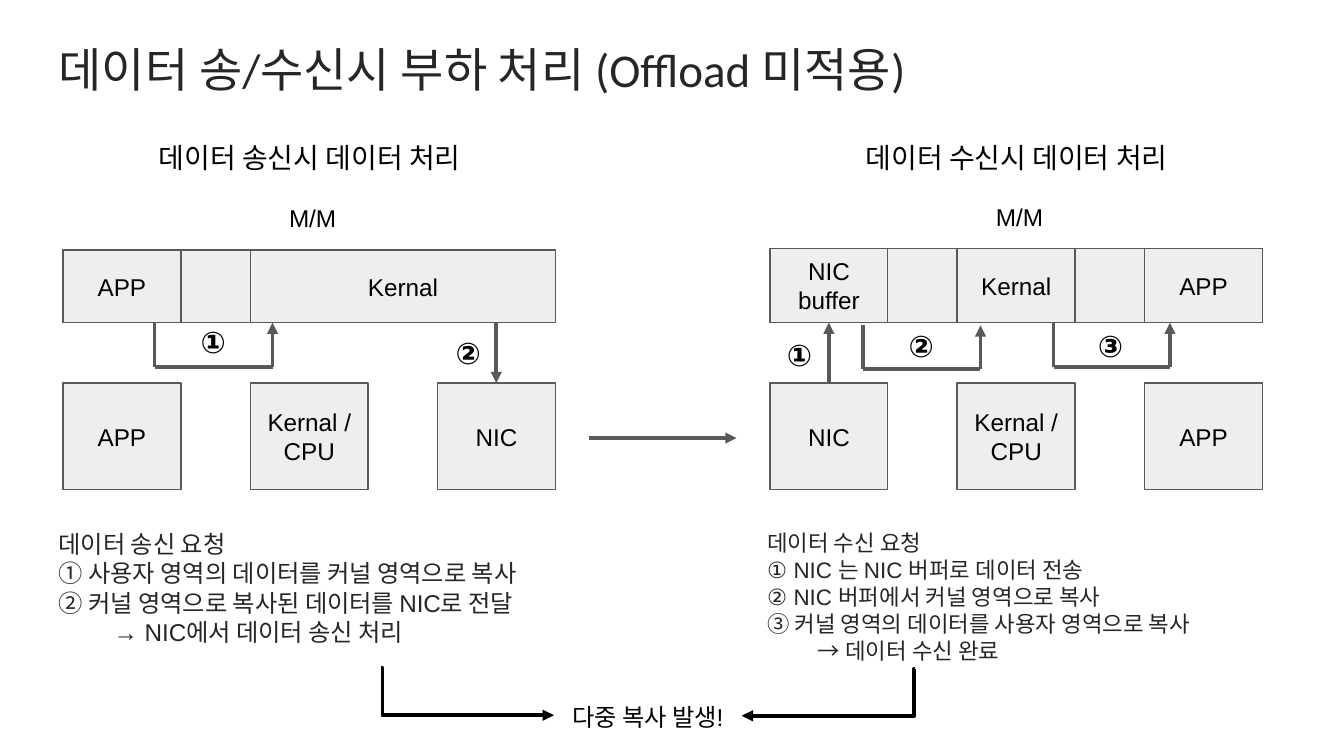
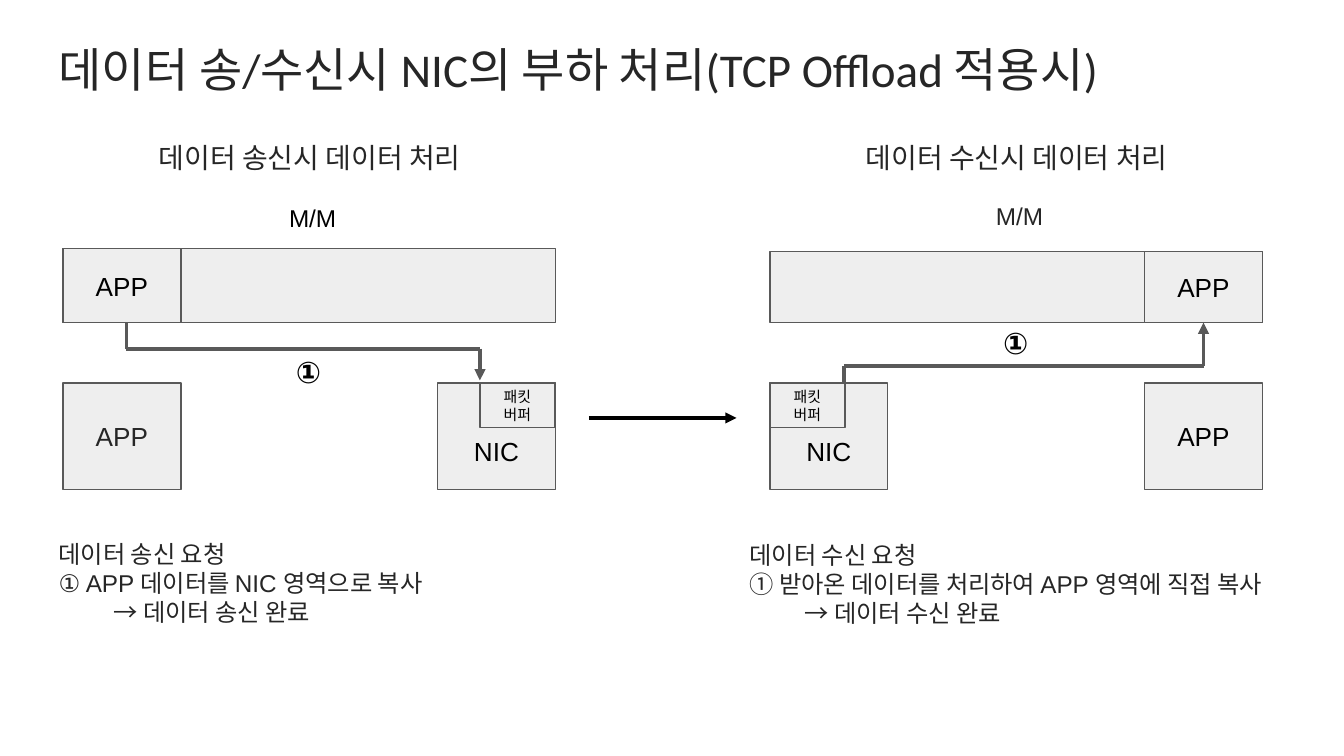
from lxml import etree
from pptx import Presentation
from pptx.dml.color import RGBColor
from pptx.enum.shapes import MSO_CONNECTOR, MSO_SHAPE
from pptx.enum.text import MSO_ANCHOR, MSO_AUTO_SIZE, PP_ALIGN
from pptx.oxml.ns import qn
from pptx.util import Cm, Pt

RECTANGLE = MSO_SHAPE.RECTANGLE
STRAIGHT = MSO_CONNECTOR.STRAIGHT
ELBOW = MSO_CONNECTOR.ELBOW
LEFT_ALIGN, CENTER = PP_ALIGN.LEFT, PP_ALIGN.CENTER
TOP, MIDDLE = MSO_ANCHOR.TOP, MSO_ANCHOR.MIDDLE
FIT_SHAPE = MSO_AUTO_SIZE.SHAPE_TO_FIT_TEXT

BLACK, INK, GRAY, PALE = "000000", "262626", "595959", "EEEEEE"
SEND, RECEIVE = 1.19, 14.55
STEP, BOX_WIDTH = 3.54, 2.23
BAR_WIDTH = 2 * STEP + BOX_WIDTH
BAR_BOTTOM, BOX_TOP, BOX_HEIGHT = 6.1, 7.24, 2.02
INSET = 0.25
TOP_SIDE, BOTTOM_SIDE = 0, 2


def color(value):
    return RGBColor.from_string(value)


class Deck:
    def __init__(self):
        self.presentation = Presentation()
        self.presentation.slide_width = Cm(25.4)
        self.presentation.slide_height = Cm(14.29)
        self.slide = None

    def add_slide(self, title):
        layout = self.presentation.slide_layouts[6]
        self.slide = self.presentation.slides.add_slide(layout)
        self.text(0.86, 0.51, 23.67, 1.6, [title], 25.2, "Calibri", INK, LEFT_ALIGN)

    def fill_text(self, shape, lines, size, font, ink, align, bold=False):
        frame = shape.text_frame
        frame.word_wrap = True
        frame.margin_left = frame.margin_right = Cm(INSET)
        frame.margin_top = frame.margin_bottom = Cm(INSET)
        for index, line in enumerate(lines):
            paragraph = frame.paragraphs[0] if index == 0 else frame.add_paragraph()
            paragraph.alignment = align
            run = paragraph.add_run()
            run.text = line
            run.font.size = Pt(size)
            run.font.name = font
            run.font.bold = bold
            run.font.color.rgb = color(ink)
        return frame

    def text(self, left, top, width, height, lines, size, font="Arial",
             ink=BLACK, align=CENTER, bold=False):
        shape = self.slide.shapes.add_textbox(Cm(left), Cm(top), Cm(width), Cm(height))
        frame = self.fill_text(shape, lines, size, font, ink, align, bold)
        frame.vertical_anchor = TOP
        return frame

    def label(self, left, top, width, height, *args, **style):
        self.text(left, top, width, height, *args, **style).auto_size = FIT_SHAPE

    def headings(self, panel, title, memory_top, title_ink, memory_ink):
        self.label(panel + 1.35, 2.41, 6.63, 1.14, [title], 15, font="Calibri", ink=title_ink)
        self.label(panel + 3.79, memory_top, 1.73, 1.07, [" M/M"], 13, ink=memory_ink)

    def marker(self, center, top, symbol):
        self.label(center - 0.55, top, 1.1, 1.19, [symbol], 16, bold=True)

    def steps(self, left, top, width, height, lines, size=13):
        frame = self.text(left, top, width, height, lines, size, ink=INK, align=LEFT_ALIGN)
        frame.margin_top = frame.margin_bottom = Cm(0.13)
        frame.auto_size = FIT_SHAPE
        result = frame.paragraphs[-1]._p.get_or_add_pPr()
        result.set("marL", str(Cm(size * 0.08)))
        result.set("indent", "0")

    def rectangle(self, left, top, width, height, lines=(), size=13, ink=BLACK, lowered=0):
        shape = self.slide.shapes.add_shape(
            RECTANGLE, Cm(left), Cm(top), Cm(width), Cm(height))
        shape.shadow.inherit = False
        shape.fill.solid()
        shape.fill.fore_color.rgb = color(PALE)
        shape.line.color.rgb = color(GRAY)
        shape.line.width = Pt(0.75)
        frame = self.fill_text(shape, lines, size, "Arial", ink, CENTER)
        frame.vertical_anchor = MIDDLE
        frame.margin_top = Cm(INSET + lowered)
        return shape

    def memory(self, panel, top, parts, size=13):
        height = BAR_BOTTOM - top
        self.rectangle(panel, top, BAR_WIDTH, height)
        return [self.rectangle(panel + column * STEP, top, width, height, lines, size)
                for column, width, lines in parts]

    def box(self, panel, column, lines, size=13, ink=BLACK, lowered=0):
        return self.rectangle(panel + column * STEP, BOX_TOP, BOX_WIDTH, BOX_HEIGHT,
                              lines, size, ink, lowered)

    def packet_buffer(self, left):
        self.rectangle(left, BOX_TOP, 1.42, 0.84, ["패킷 버퍼"], 8)

    def connector(self, start, end, ink=GRAY, arrow=True, kind=STRAIGHT):
        points = [Cm(value) for value in (*start, *end)]
        connector = self.slide.shapes.add_connector(kind, *points)
        connector.line.color.rgb = color(ink)
        connector.line.width = Pt(2)
        if arrow:
            line = connector.line._get_or_add_ln()
            etree.SubElement(line, qn("a:tailEnd"), type="triangle")
        etree.SubElement(connector._element.spPr, qn("a:effectLst"))
        return connector

    def elbow(self, start, end):
        connector = self.connector(start, end, BLACK, kind=ELBOW)
        geometry = connector._element.spPr.find(qn("a:prstGeom"))
        adjustments = geometry.find(qn("a:avLst"))
        if adjustments is None:
            adjustments = etree.SubElement(geometry, qn("a:avLst"))
        etree.SubElement(adjustments, qn("a:gd"), name="adj1", fmla="val 600")

    def route(self, start, turn, end):
        corners = [start, (start[0], turn), (end[0], turn), end]
        for index in range(2):
            self.connector(corners[index], corners[index + 1], arrow=False)
        return self.connector(corners[2], corners[3])


def build_without_offload(deck):
    deck.add_slide("데이터 송/수신시 부하 처리 (Offload 미적용)")
    deck.headings(SEND, "데이터 송신시 데이터 처리", 3.6, BLACK, BLACK)
    deck.headings(RECEIVE, "데이터 수신시 데이터 처리", 3.57, BLACK, BLACK)

    deck.memory(SEND, 4.73, [(0, BOX_WIDTH, ["APP"]), (1, STEP + BOX_WIDTH, ["Kernal"])])
    for column, lines in enumerate((["APP"], ["Kernal / CPU"], ["NIC"])):
        deck.box(SEND, column, lines)
    deck.route((2.92, BAR_BOTTOM), 6.94, (5.15, BAR_BOTTOM))
    deck.connector((9.38, BAR_BOTTOM), (9.38, BOX_TOP))
    deck.marker(4.03, 5.87, "①")
    deck.marker(8.85, 6.07, "②")

    buffers = (["NIC", "buffer"], ["Kernal"], ["APP"])
    parts = [(column, BOX_WIDTH, lines) for column, lines in enumerate(buffers)]
    nic_buffer = deck.memory(RECEIVE, 4.7, parts)[0]
    devices = (["NIC"], ["Kernal /", "CPU"], ["APP"])
    nic = [deck.box(RECEIVE, column, lines) for column, lines in enumerate(devices)][0]
    center = RECEIVE + BOX_WIDTH / 2
    upload = deck.connector((center, BOX_TOP), (center, BAR_BOTTOM))
    upload.begin_connect(nic, TOP_SIDE)
    upload.end_connect(nic_buffer, BOTTOM_SIDE)
    deck.route((16.31, 6.15), 6.97, (18.53, 6.15))
    deck.route((19.91, BAR_BOTTOM), 6.94, (22.11, BAR_BOTTOM))
    deck.marker(15.11, 6.12, "①")
    deck.marker(17.41, 5.94, "②")
    deck.marker(20.99, 5.94, "③")

    deck.connector((11.13, 8.28), (13.92, 8.28))
    deck.steps(0.86, 9.88, 12.7, 2.49, [
        "데이터 송신 요청",
        "① 사용자 영역의 데이터를 커널 영역으로 복사",
        "② 커널 영역으로 복사된 데이터를 NIC로 전달",
        "→ NIC에서 데이터 송신 처리",
    ])
    deck.steps(14.25, 9.88, 11, 2.87, [
        "데이터 수신 요청",
        "① NIC 는 NIC 버퍼로 데이터 전송",
        "② NIC 버퍼에서 커널 영역으로 복사",
        "③ 커널 영역의 데이터를 사용자 영역으로 복사",
        "→ 데이터 수신 완료",
    ], 12)
    deck.label(10.24, 13.03, 4.01, 1.07, ["다중 복사 발생!"], 13)
    deck.elbow((7.21, 12.63), (10.47, 13.52))
    deck.elbow((17.3, 12.64), (14.02, 13.53))


def build_with_offload(deck):
    deck.add_slide("데이터 송/수신시 NIC의 부하 처리(TCP Offload 적용시)")
    deck.headings(SEND, "데이터 송신시 데이터 처리", 3.6, INK, BLACK)
    deck.headings(RECEIVE, "데이터 수신시 데이터 처리", 3.56, INK, INK)

    deck.memory(SEND, 4.7, [(0, BOX_WIDTH, ["APP"])], 14)
    deck.box(SEND, 0, ["APP"], 14, INK)
    deck.box(SEND, 2, ["NIC"], 14, lowered=0.57)
    deck.packet_buffer(9.07)
    deck.route((2.39, BAR_BOTTOM), 6.59, (9.07, 7.19))
    deck.marker(5.83, 6.43, "①")

    app_memory = deck.memory(RECEIVE, 4.75, [(2, BOX_WIDTH, ["APP"])], 14)[0]
    deck.box(RECEIVE, 0, ["NIC"], 14, lowered=0.57)
    deck.box(RECEIVE, 2, ["APP"], 14)
    deck.packet_buffer(RECEIVE)
    center = RECEIVE + 2 * STEP + BOX_WIDTH / 2
    delivery = deck.route((15.95, 7.22), 6.92, (center, BAR_BOTTOM))
    delivery.end_connect(app_memory, BOTTOM_SIDE)
    deck.marker(19.2, 5.89, "①")

    deck.connector((11.13, 7.9), (13.92, 7.9), BLACK)
    deck.steps(0.86, 10.06, 9.37, 1.93, [
        "데이터 송신 요청",
        "① APP 데이터를 NIC 영역으로 복사",
        "→ 데이터 송신 완료",
    ])
    deck.steps(13.92, 10.08, 11.1, 1.93, [
        "데이터 수신 요청",
        "① 받아온 데이터를 처리하여 APP 영역에 직접 복사",
        "→ 데이터 수신 완료",
    ])


def main():
    deck = Deck()
    build_without_offload(deck)
    build_with_offload(deck)
    deck.presentation.save("out.pptx")


if __name__ == "__main__":
    main()
